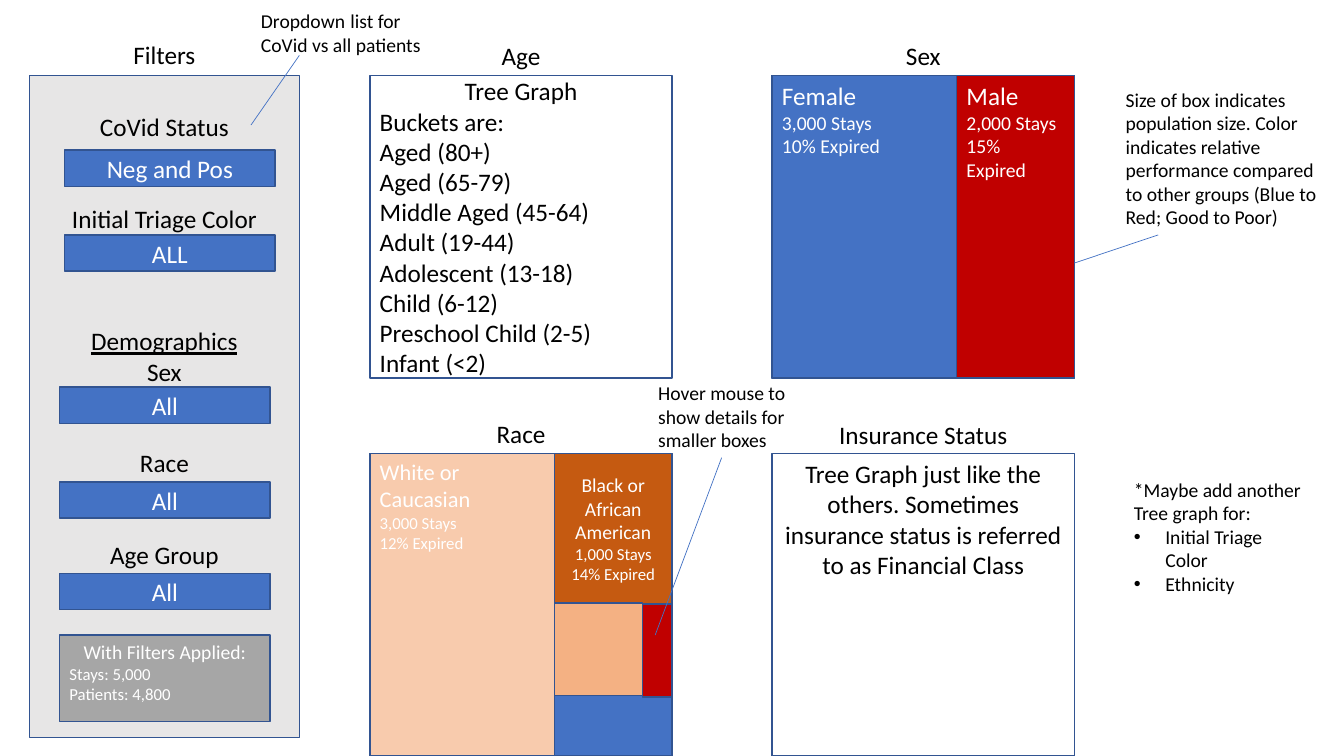
from lxml import etree
from pptx import Presentation
from pptx.dml.color import RGBColor
from pptx.enum.shapes import MSO_CONNECTOR, MSO_SHAPE
from pptx.enum.text import MSO_ANCHOR, MSO_AUTO_SIZE, PP_ALIGN
from pptx.oxml.ns import qn
from pptx.util import Pt

LEFT, CENTER = PP_ALIGN.LEFT, PP_ALIGN.CENTER
TOP, MIDDLE = MSO_ANCHOR.TOP, MSO_ANCHOR.MIDDLE
RECTANGLE, STRAIGHT = MSO_SHAPE.RECTANGLE, MSO_CONNECTOR.STRAIGHT
FIT_TEXT = MSO_AUTO_SIZE.SHAPE_TO_FIT_TEXT

BLACK = RGBColor(0x00, 0x00, 0x00)
WHITE = RGBColor(0xFF, 0xFF, 0xFF)
BLUE = RGBColor(0x44, 0x72, 0xC4)
OUTLINE = RGBColor(0x32, 0x54, 0x91)
RED = RGBColor(0xC0, 0x00, 0x00)
PANEL_GRAY = RGBColor(0xE7, 0xE6, 0xE6)
SUMMARY_GRAY = RGBColor(0xA6, 0xA6, 0xA6)
PEACH = RGBColor(0xF8, 0xCB, 0xAD)
ORANGE = RGBColor(0xF4, 0xB1, 0x83)
BROWN = RGBColor(0xC5, 0x5A, 0x11)

LINE_HEIGHT = 21.97  # one line of 18 point text
SIDE = 216
COLUMN_1, COLUMN_2 = 264.2, 551.5
ROW_1, ROW_2 = 54, 324
PANEL_LEFT, PANEL_WIDTH = 20.9, 193


def write_lines(box, lines, color, anchor=TOP):
    """Fill a box with lines, each an alignment followed by (text, size) spans."""
    frame = box.text_frame
    frame.word_wrap = True
    frame.vertical_anchor = anchor
    for index, (alignment, *spans) in enumerate(lines):
        para = frame.paragraphs[0] if index == 0 else frame.add_paragraph()
        para.alignment = alignment
        for text, size in spans:
            span = para.add_run()
            span.text = text
            font_format = {"name": "Calibri", "size": Pt(size)}
            for name, value in font_format.items():
                setattr(span.font, name, value)
            span.font.color.rgb = color
    return frame


def add_box(bounds, fill, lines=(), color=WHITE, anchor=TOP):
    box = page.shapes.add_shape(RECTANGLE, *map(Pt, bounds))
    box.shadow.inherit = False
    box.fill.solid()
    box.fill.fore_color.rgb = fill
    box.line.color.rgb = OUTLINE
    box.line.width = Pt(1)
    return write_lines(box, lines, color, anchor)


deck = Presentation()
deck.slide_width, deck.slide_height = Pt(960), Pt(540)
page = deck.slides.add_slide(deck.slide_layouts[6])

# Filter panel: the gap before each label is counted in lines
filter_labels = [("CoVid Status", 0), ("Initial Triage Color", 2), ("Demographics", 3),
                 ("Sex", 0), ("Race", 2), ("Age Group", 2)]
panel = add_box((PANEL_LEFT, ROW_1, PANEL_WIDTH, 473), PANEL_GRAY,
                [(CENTER, (label, 18)) for label, gap in filter_labels], BLACK)
panel.margin_top = Pt(3.6 + LINE_HEIGHT)
for para, (label, gap) in zip(panel.paragraphs, filter_labels):
    para.space_before = Pt(round(gap * LINE_HEIGHT, 1))
    para.runs[0].font.underline = label == "Demographics"

dropdowns = [("Neg and Pos", 46.1, 107.3), ("ALL", 46.1, 167.8), ("All", 42.5, 276.5),
             ("All", 42.5, 344.2), ("All", 42.5, 409.7)]
for choice, left, top in dropdowns:
    add_box((left, top, 150.5, 25.9), BLUE, [(CENTER, (choice, 18))], anchor=MIDDLE)
add_box((42.5, 453.6, 150.5, 61.9), SUMMARY_GRAY,
        [(CENTER, ("With Filters Applied:", 14)),
         (LEFT, ("Stays: 5,000", 12)), (LEFT, ("Patients: 4,800", 12))])

# Age
age_buckets = ["Buckets are:", "Aged (80+)", "Aged (65-79)", "Middle Aged (45-64)",
               "Adult (19-44)", "Adolescent (13-18)", "Child (6-12)",
               "Preschool Child (2-5)", "Infant (<2)"]
add_box((COLUMN_1, ROW_1, SIDE, SIDE), WHITE,
        [(CENTER, ("Tree Graph", 18))] + [(LEFT, (bucket, 18)) for bucket in age_buckets],
        BLACK, MIDDLE)

# Sex
add_box((COLUMN_2, ROW_1, SIDE, SIDE), WHITE)
sexes = [("Female", "3,000 Stays", "10% Expired", 0, 131.8, BLUE),
         ("Male", "2,000 Stays", "15% Expired", 131.8, 84.2, RED)]
for sex, stays, expired, offset, width, fill in sexes:
    add_box((COLUMN_2 + offset, ROW_1, width, SIDE), fill,
            [(LEFT, (sex, 18)), (LEFT, (stays, 14)), (LEFT, (expired, 14))])

# Race
add_box((COLUMN_1, ROW_2, SIDE, SIDE), WHITE)
add_box((COLUMN_1, ROW_2, 132.5, SIDE), PEACH,
        [(LEFT, ("White or Caucasian", 16)),
         (LEFT, ("3,000 Stays", 12)), (LEFT, ("12% Expired", 12))])
add_box((396.2, ROW_2, 83.8, 107), BROWN,
        [(CENTER, ("Black or African American", 14)),
         (CENTER, ("1,000 Stays", 12)), (CENTER, ("14% Expired", 12))], anchor=MIDDLE)
small_races = [((396.2, 430.8, 62.9, 66), ORANGE), ((396.2, 496.8, 83.8, 43.2), BLUE),
               ((459.1, 431.8, 20.9, 66), RED)]
for bounds, fill in small_races:
    add_box(bounds, fill)

# Insurance status
add_box((COLUMN_2, ROW_2, SIDE, SIDE), WHITE,
        [(CENTER, ("Tree Graph just like the others. Sometimes insurance status "
                   "is referred to as Financial Class", 18))], BLACK)

# Headings and notes
headings = [("Filters", PANEL_LEFT, 24.8, PANEL_WIDTH), ("Age", COLUMN_1, 25.2, SIDE),
            ("Sex", COLUMN_2, 25.2, SIDE), ("Race", COLUMN_1, 295.2, SIDE),
            ("Insurance Status", COLUMN_2, 296.3, SIDE)]
texts = [((left, top, width, 29), [(CENTER, (heading, 18))])
         for heading, left, top, width in headings]
texts += [
    ((179.3, 0.7, 140.4, 44), [(LEFT, ("Dropdown", 14), (" ", 16),
                                ("list for CoVid vs all patients", 14))]),
    ((797, 59, 163, 108.7), [(LEFT, ("Size of box indicates population size. Color indicates "
                                     "relative performance compared to other groups "
                                     "(Blue to Red; Good to Poor)", 14))]),
    ((463, 268.6, 105.8, 58.3), [(LEFT, ("Hover mouse to show details for smaller boxes", 14))]),
    ((802.8, 337.7, 136, 108.7), [(LEFT, ("*Maybe add another Tree graph for:", 14)),
                                  (LEFT, ("Initial Triage Color", 14)),
                                  (LEFT, ("Ethnicity", 14))]),
]
for bounds, lines in texts:
    text_box = page.shapes.add_textbox(*map(Pt, bounds))
    frame = write_lines(text_box, lines, BLACK)
    frame.auto_size = FIT_TEXT

suggestions = frame.paragraphs[1:]
for para in suggestions:
    properties = para._p.get_or_add_pPr()
    properties.set("marL", str(Pt(22.5)))
    properties.set("indent", str(Pt(-22.5)))
    etree.SubElement(properties, qn("a:buFont"), typeface="Arial")
    etree.SubElement(properties, qn("a:buChar"), char="•")

# Lines from the notes to what they explain
pointers = [(827.3, 167.8, 767.5, 187.9), (179.3, 89.3, 213.8, 39.6),
            (468, 453.6, 515.5, 326.9)]
for ends in pointers:
    pointer = page.shapes.add_connector(STRAIGHT, *map(Pt, ends))
    pointer.line.color.rgb = BLUE
    pointer.line.width = Pt(0.5)
    etree.SubElement(pointer._element.spPr, qn("a:effectLst"))

deck.save("out.pptx")
